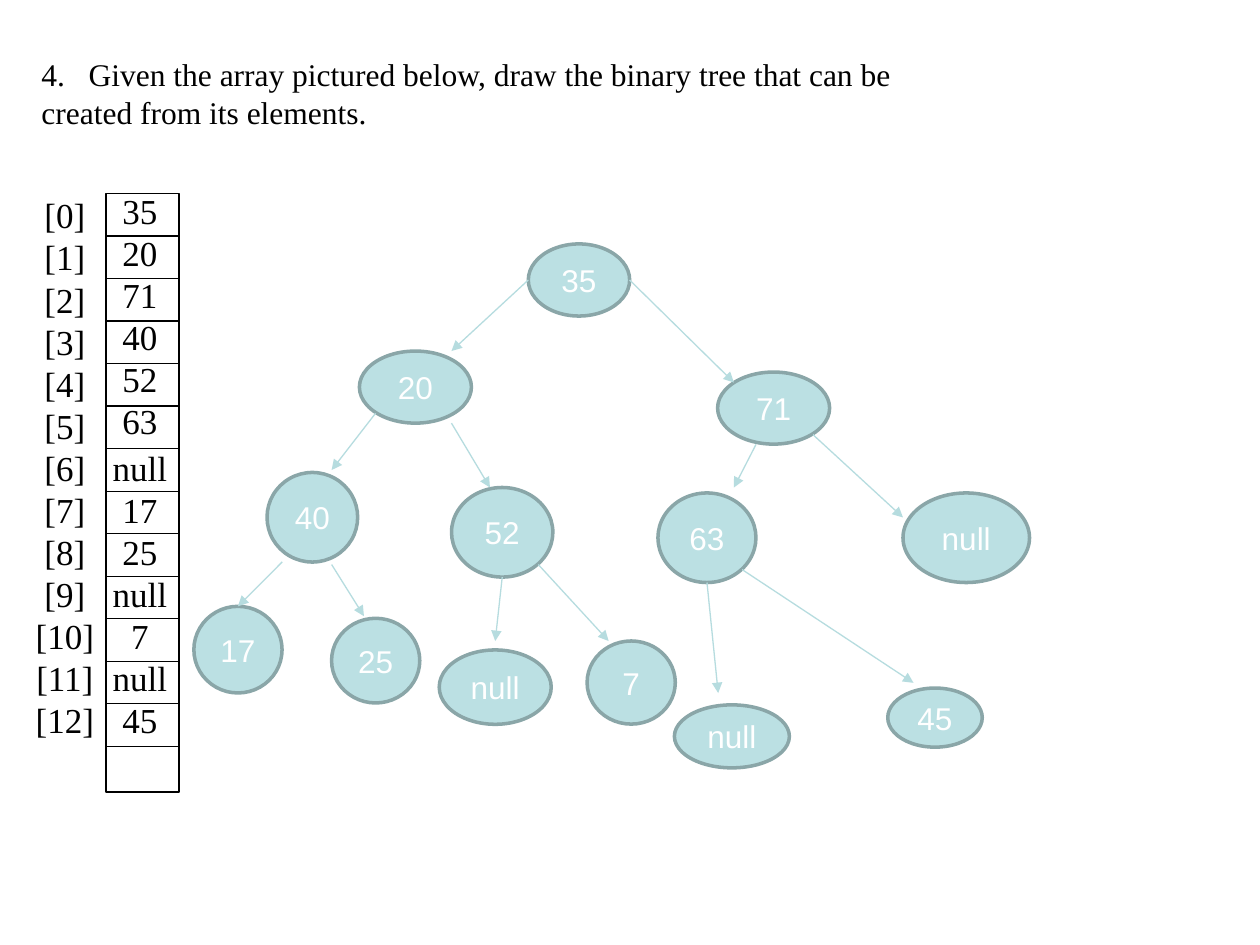
from lxml.etree import SubElement
from pptx import Presentation
from pptx.dml.color import RGBColor
from pptx.enum.shapes import MSO_CONNECTOR, MSO_SHAPE
from pptx.enum.text import MSO_ANCHOR, MSO_AUTO_SIZE, PP_ALIGN
from pptx.oxml.ns import qn
from pptx.util import Pt

COLORS = {"ink": "000000", "node": "BBE0E3", "rim": "8AA6A8",
          "edge": "B6DCDF", "label": "FFFFFF"}

SERIF = {"name": "Times New Roman", "color": "ink"}
TITLE_FONT = {**SERIF, "size": Pt(18)}
ARRAY_FONT = {**SERIF, "size": Pt(20)}
NODE_FONT = {"name": "Arial", "color": "label", "size": Pt(18)}
ARRAY_PARA = {"alignment": PP_ALIGN.CENTER, "line_spacing": Pt(24)}

TITLE = ["Given the array pictured below, draw the binary tree that can be",
         "created from its elements."]
VALUES = ["35", "20", "71", "40", "52", "63", "null",
          "17", "25", "null", "7", "null", "45"]

NODES = [
    ("35", 301.9, 139.4, 57.9, 41.2),
    ("20", 205.4, 200.6, 64, 41.2),
    ("71", 410.1, 212.6, 64, 41.2),
    ("40", 152.6, 270, 51.8, 51.2),
    ("52", 258, 278.6, 57.9, 51.2),
    ("63", 376, 281.7, 56, 51.2),
    ("null", 516, 281.7, 72.3, 51.2),
    ("17", 110.8, 346.5, 50.4, 49.5),
    ("25", 189.5, 353.3, 50.4, 48.4),
    ("null", 251, 371.4, 64, 42.5),
    ("7", 335.5, 366.3, 50.4, 47.5),
    ("null", 385.4, 402.8, 65.7, 36),
    ("45", 507.3, 393.2, 54, 33.8),
]

EDGES = [
    (301.9, 160, 258, 200.6),
    (359.8, 160, 419.4, 218.6),
    (214.6, 236.2, 189.5, 268.6),
    (258, 241.8, 280, 278.6),
    (432, 254, 419.4, 278.6),
    (464.6, 248.4, 516, 295.7),
    (161.3, 321.1, 136, 346.5),
    (189.5, 322.6, 208, 352.1),
    (287, 329.8, 283, 366.3),
    (307.6, 322.6, 347.8, 366.3),
    (404, 332.9, 410.4, 396),
    (424.1, 325.5, 522, 390.2),
]


def rgb(key):
    return RGBColor.from_string(COLORS[key])


def apply(target, values):
    for name, value in values.items():
        setattr(target, name, value)


def write(para, text, font):
    span = para.add_run()
    span.text = text
    apply(span.font, {key: font[key] for key in ("name", "size")})
    span.font.color.rgb = rgb(font["color"])


def set_stroke(line, color, width):
    line.color.rgb = rgb(color)
    line.width = Pt(width)


def add_text(page, bounds, lines, font, para_format, frame_format):
    box = page.shapes.add_textbox(*map(Pt, bounds))
    frame = box.text_frame
    apply(frame, {"word_wrap": False,
                  "auto_size": MSO_AUTO_SIZE.SHAPE_TO_FIT_TEXT, **frame_format})
    for number, text in enumerate(lines):
        para = frame.add_paragraph() if number else frame.paragraphs[0]
        apply(para, para_format)
        write(para, text, font)
    return frame.paragraphs


def number_para(para, start, indent):
    props = para._p.get_or_add_pPr()
    props.set("marL", str(Pt(indent)))
    props.set("indent", str(-Pt(indent)))
    SubElement(props, qn("a:buAutoNum"), type="arabicPeriod", startAt=str(start))


def add_line(page, ends, color, arrow=False):
    line = page.shapes.add_connector(MSO_CONNECTOR.STRAIGHT, *map(Pt, ends))
    set_stroke(line.line, color, 0.75)
    if arrow:
        SubElement(line.line._get_or_add_ln(), qn("a:tailEnd"), type="triangle")
    SubElement(line._element.spPr, qn("a:effectLst"))


def add_node(page, label, *bounds):
    node = page.shapes.add_shape(MSO_SHAPE.OVAL, *map(Pt, bounds))
    node.shadow.inherit = False
    node.fill.solid()
    node.fill.fore_color.rgb = rgb("node")
    set_stroke(node.line, "rim", 2)
    apply(node.text_frame, {"vertical_anchor": MSO_ANCHOR.MIDDLE, "word_wrap": True})
    para = node.text_frame.paragraphs[0]
    para.alignment = PP_ALIGN.CENTER
    write(para, label, NODE_FONT)


def add_array(page):
    left, top, width, row = 60.5, 110.6, 41.8, 24.3
    frame = page.shapes.add_shape(MSO_SHAPE.RECTANGLE,
                                  *map(Pt, (left, top, width, 342)))
    frame.shadow.inherit = False
    frame.fill.background()
    set_stroke(frame.line, "ink", 0.75)
    for number in range(1, len(VALUES) + 1):
        y = top + number * row
        add_line(page, (left, y, left + width, y), "ink")

    indices = [f"[{number}]" for number in range(len(VALUES))]
    add_text(page, (13, 107.3, 48.2, 322.6), indices, ARRAY_FONT, ARRAY_PARA, {})
    paras = add_text(page, (56.9, 80.6, 46.1, 346.3), VALUES, ARRAY_FONT, ARRAY_PARA,
                     {"word_wrap": True, "margin_top": Pt(27.6)})
    paras[VALUES.index("null")].space_before = Pt(3)


def main():
    deck = Presentation()
    apply(deck, {"slide_width": Pt(720), "slide_height": Pt(540)})
    page = deck.slides.add_slide(deck.slide_layouts[6])

    paras = add_text(page, (16.6, 28.1, 505.4, 51.1), TITLE, TITLE_FONT, {}, {})
    number_para(paras[0], start=4, indent=27)
    add_array(page)
    for node in NODES:
        add_node(page, *node)
    for ends in EDGES:
        add_line(page, ends, "edge", arrow=True)

    deck.save("out.pptx")


if __name__ == "__main__":
    main()
